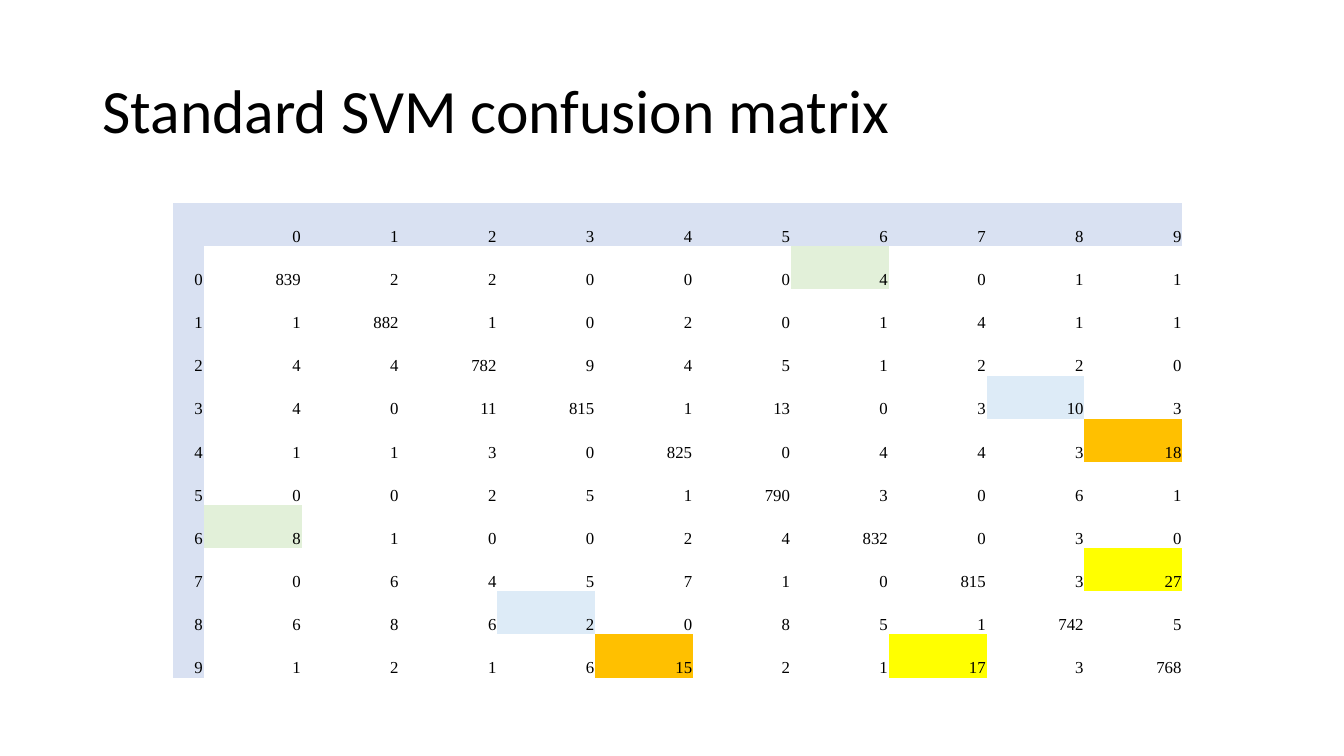
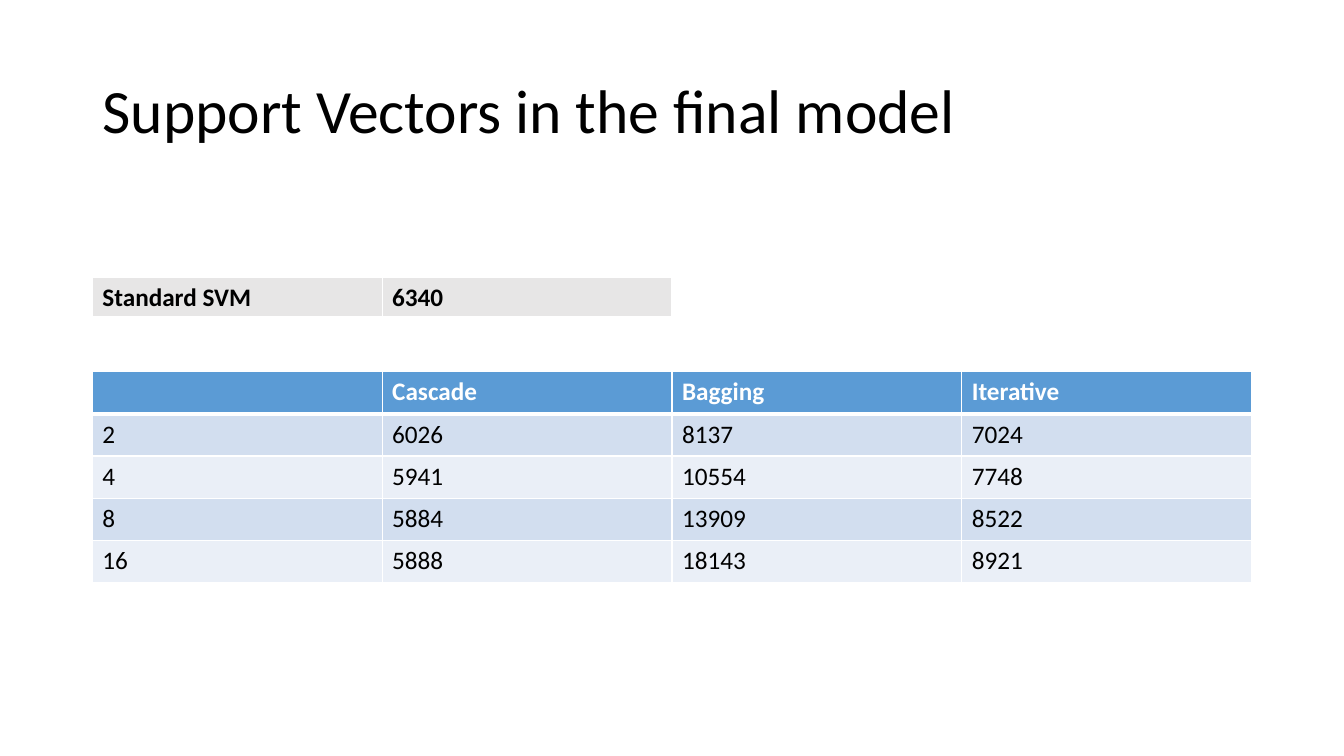
from dataclasses import dataclass
from typing import Callable

from lxml import etree
from pptx import Presentation
from pptx.dml.color import RGBColor
from pptx.enum.text import MSO_ANCHOR, MSO_AUTO_SIZE, PP_ALIGN
from pptx.oxml.ns import qn
from pptx.util import Pt

LEFT, RIGHT = PP_ALIGN.LEFT, PP_ALIGN.RIGHT
TOP, MIDDLE, BOTTOM = MSO_ANCHOR.TOP, MSO_ANCHOR.MIDDLE, MSO_ANCHOR.BOTTOM
FIXED = MSO_AUTO_SIZE.NONE
TITLE_ONLY = 5
PLAIN = "{2D5ABB26-0587-4C30-8999-92F81FD0307C}"  # no style, no grid

SANS, SERIF = "Calibri", "Times New Roman"
COLORS = {
    "black": "000000", "white": "FFFFFF", "label": "D9E1F2",
    "green": "E2F0D9", "sky": "DDEBF7", "orange": "FFC000",
    "yellow": "FFFF00", "head": "5B9BD5", "band": "D2DEEF",
    "pale": "EAEFF7", "gray": "E7E6E6",
}


@dataclass(frozen=True)
class Look:
    """Text and border settings of a whole table."""
    font: str
    size: float
    align: PP_ALIGN
    anchor: MSO_ANCHOR
    inset: tuple[float, float, float, float]  # left, top, right, bottom
    ruled: bool


@dataclass(frozen=True)
class Tone:
    """Colours and weight of one cell."""
    fill: str | None = None
    ink: str = "black"
    bold: bool = False


@dataclass(frozen=True)
class Grid:
    left: float
    top: float
    cols: list[float]
    height: float  # of one row
    rows: list[list[str]]
    look: Look
    tone: Callable[[int, int], Tone]


MATRIX = Look(SERIF, 12, RIGHT, BOTTOM, (0.6, 0.6, 0.6, 0), False)
RULED = Look(SANS, 18, LEFT, TOP, (7.2, 3.6, 7.2, 3.6), True)

# Confusion counts: one row for each digit
COUNTS = [
    [839, 2, 2, 0, 0, 0, 4, 0, 1, 1],
    [1, 882, 1, 0, 2, 0, 1, 4, 1, 1],
    [4, 4, 782, 9, 4, 5, 1, 2, 2, 0],
    [4, 0, 11, 815, 1, 13, 0, 3, 10, 3],
    [1, 1, 3, 0, 825, 0, 4, 4, 3, 18],
    [0, 0, 2, 5, 1, 790, 3, 0, 6, 1],
    [8, 1, 0, 0, 2, 4, 832, 0, 3, 0],
    [0, 6, 4, 5, 7, 1, 0, 815, 3, 27],
    [6, 8, 6, 2, 0, 8, 5, 1, 742, 5],
    [1, 2, 1, 6, 15, 2, 1, 17, 3, 768],
]
# Digits that are mixed up, marked in both directions
PAIRS = {(0, 6): "green", (3, 8): "sky", (4, 9): "orange", (7, 9): "yellow"}

VECTORS = [
    ["", "Cascade", "Bagging", "Iterative"],
    ["2", "6026", "8137", "7024"],
    ["4", "5941", "10554", "7748"],
    ["8", "5884", "13909", "8522"],
    ["16", "5888", "18143", "8921"],
]


def rgb(name: str) -> RGBColor:
    return RGBColor.from_string(COLORS[name])


def write(para, text: str, font: str, size: float, ink: str,
          bold: bool = False) -> None:
    run = para.add_run()
    run.text = text
    run.font.name, run.font.size = font, Pt(size)
    run.font.bold = bold
    run.font.color.rgb = rgb(ink)


def rule(cell, above: float, below: float) -> None:
    """Give a cell white borders; the lines must precede its fill."""
    props = cell._tc.get_or_add_tcPr()
    sides = {"lnL": 1, "lnR": 1, "lnT": above, "lnB": below}
    for spot, (side, width) in enumerate(sides.items()):
        line = etree.Element(qn(f"a:{side}"), w=str(Pt(width)))
        fill = etree.SubElement(line, qn("a:solidFill"))
        etree.SubElement(fill, qn("a:srgbClr"), val=COLORS["white"])
        props.insert(spot, line)


def paint(cell, text: str, look: Look, tone: Tone) -> None:
    (cell.margin_left, cell.margin_top,
     cell.margin_right, cell.margin_bottom) = map(Pt, look.inset)
    cell.vertical_anchor = look.anchor
    para = cell.text_frame.paragraphs[0]
    para.alignment = look.align
    if text:
        write(para, text, look.font, look.size, tone.ink, tone.bold)
    if tone.fill:
        cell.fill.solid()
        cell.fill.fore_color.rgb = rgb(tone.fill)
    else:
        cell.fill.background()


def draw(slide, grid: Grid) -> None:
    count = len(grid.rows)
    table = slide.shapes.add_table(
        count, len(grid.cols), Pt(grid.left), Pt(grid.top),
        Pt(sum(grid.cols)), Pt(grid.height * count)).table
    table.horz_banding = False
    table._tbl.tblPr.find(qn("a:tableStyleId")).text = PLAIN
    for col, width in zip(table.columns, grid.cols):
        col.width = Pt(width)
    for r, texts in enumerate(grid.rows):
        table.rows[r].height = Pt(grid.height)
        for c, text in enumerate(texts):
            cell = table.cell(r, c)
            paint(cell, text, grid.look, grid.tone(r, c))
            if grid.look.ruled:
                # The line under the first row is heavy
                rule(cell, 3 if r == 1 else 1, 3 if r == 0 else 1)


def begin(deck, text: str):
    """Add a slide with its title."""
    slide = deck.slides.add_slide(deck.slide_layouts[TITLE_ONLY])
    title = slide.shapes.title
    title.left, title.top = Pt(66), Pt(28.8)
    title.width, title.height = Pt(828), Pt(104.4)
    frame = title.text_frame
    frame.auto_size, frame.word_wrap = FIXED, True
    frame.vertical_anchor = MIDDLE
    para = frame.paragraphs[0]
    para.alignment, para.line_spacing = LEFT, 0.9
    write(para, text, SANS, 44, "black")
    return slide


def mark(r: int, c: int) -> Tone:
    if r == 0 or c == 0:
        return Tone("label")
    low, high = sorted((r - 1, c - 1))
    return Tone(PAIRS.get((low, high)))


def stripe(r: int, c: int) -> Tone:
    if r == 0:
        return Tone("head", "white", True)
    return Tone("band" if r % 2 else "pale")


def total(r: int, c: int) -> Tone:
    return Tone("gray", bold=True)


def main() -> None:
    deck = Presentation()
    deck.slide_width, deck.slide_height = Pt(960), Pt(540)

    # Confusion matrix
    slide = begin(deck, "Standard SVM confusion matrix")
    digits = [str(d) for d in range(len(COUNTS))]
    rows = [["", *digits]]
    rows += [[d, *map(str, line)] for d, line in zip(digits, COUNTS)]
    draw(slide, Grid(123.4, 145, [22.1] + [69.93] * len(digits), 30.82,
                     rows, MATRIX, mark))

    # Support vector counts
    slide = begin(deck, "Support Vectors in the final model")
    draw(slide, Grid(66, 265.6, [207] * 4, 30.1, VECTORS, RULED, stripe))
    draw(slide, Grid(66, 198, [207] * 2, 29.2, [["Standard SVM", "6340"]],
                     RULED, total))

    deck.save("out.pptx")


if __name__ == "__main__":
    main()
